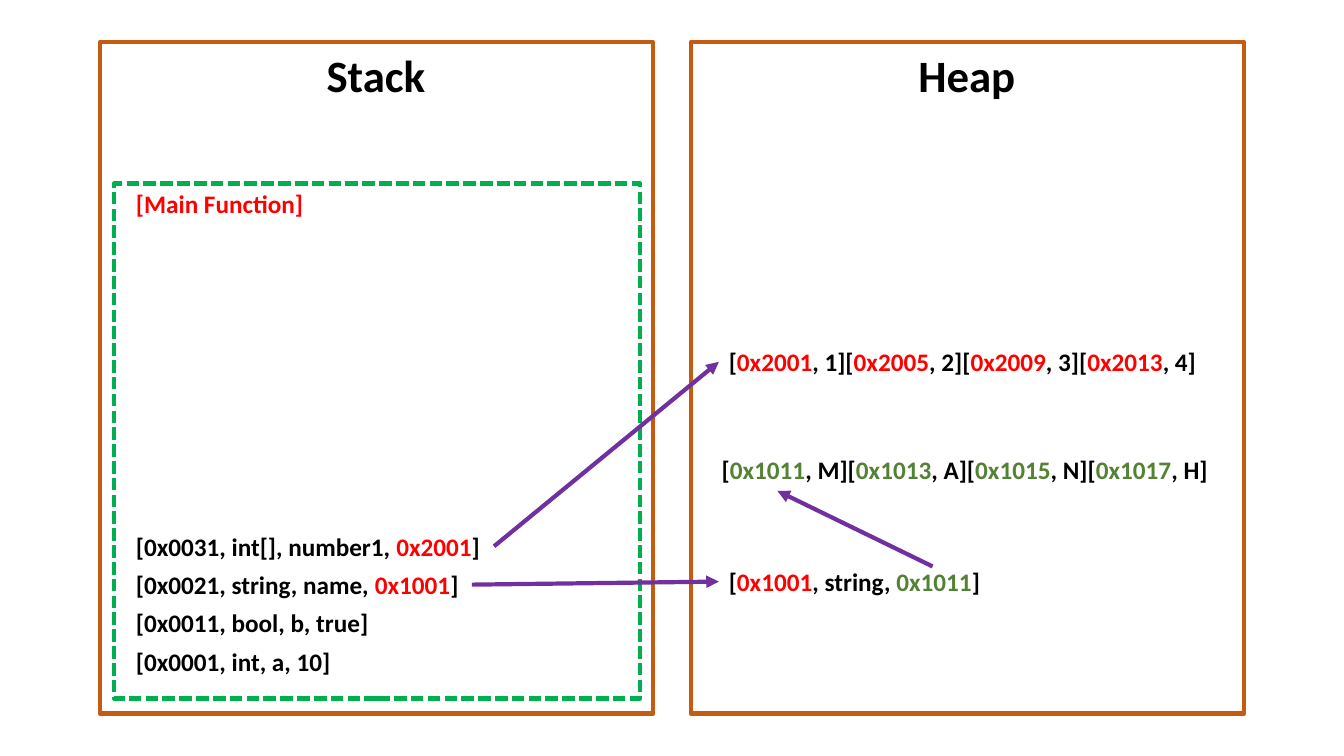
from dataclasses import dataclass

from lxml import etree
from pptx import Presentation
from pptx import util as u
from pptx.dml.color import RGBColor
from pptx.enum import dml, shapes, text
from pptx.oxml import ns

BLACK = RGBColor(0x00, 0x00, 0x00)
RED = RGBColor(0xFF, 0x00, 0x00)
OLIVE = RGBColor(0x54, 0x82, 0x35)
GREEN = RGBColor(0x00, 0xB0, 0x50)
ORANGE = RGBColor(0xC5, 0x5A, 0x11)
PURPLE = RGBColor(0x70, 0x30, 0xA0)

PANEL_TOP, PANEL_WIDTH, PANEL_HEIGHT = 0.42, 5.49, 6.66
ROW_HEIGHT, ROW_PITCH = 0.4, 0.38


@dataclass
class Box:
    left: float
    top: float
    width: float
    height: float

    def inches(self):
        return [u.Inches(v) for v in (self.left, self.top, self.width, self.height)]

    def inner(self, left, top, width, height):
        return Box(self.left + left, self.top + top, width, height)


def add_frame(parent, box, color, dash=None):
    frame = parent.add_shape(shapes.MSO_SHAPE.RECTANGLE, *box.inches())
    frame.shadow.inherit = False
    frame.fill.background()
    frame.line.color.rgb = color
    frame.line.width = u.Pt(3)
    if dash:
        frame.line.dash_style = dash


def add_label(parent, box, parts, size=18, wrap=False):
    label = parent.add_textbox(*box.inches())
    label.text_frame.word_wrap = wrap
    label.text_frame.auto_size = text.MSO_AUTO_SIZE.SHAPE_TO_FIT_TEXT
    para = label.text_frame.paragraphs[0]
    para.font.name = "Calibri"
    para.font.size = u.Pt(size)
    para.font.bold = True
    for wording, color in parts:
        span = para.add_run()
        span.text = wording
        span.font.color.rgb = color
    return label


def add_panel(page, box, heading, heading_width):
    group = page.shapes.add_group_shape()
    add_frame(group.shapes, box, ORANGE)
    heading_box = box.inner((box.width - heading_width) / 2, 0, heading_width, 0.64)
    add_label(group.shapes, heading_box, [(heading, BLACK)], size=32)


def add_arrow(page, start, end):
    points = [u.Inches(v) for v in (*start, *end)]
    arrow = page.shapes.add_connector(shapes.MSO_CONNECTOR.STRAIGHT, *points)
    arrow.line.color.rgb = PURPLE
    arrow.line.width = u.Pt(3)
    etree.SubElement(arrow.line._get_or_add_ln(), ns.qn("a:tailEnd"), type="triangle")
    etree.SubElement(arrow._element.spPr, ns.qn("a:effectLst"))
    return arrow


def join(page, source, target):
    arrow = add_arrow(page, (0, 0), (1, 1))
    arrow.begin_connect(source, 3)
    arrow.end_connect(target, 1)


def add_stack(page, box):
    add_panel(page, box, "Stack", 1.19)
    frame = box.inner(0.14, 1.4, 5.22, 5.11)
    add_frame(page.shapes, frame, GREEN, dml.MSO_LINE.SQUARE_DOT)
    add_label(page.shapes, frame.inner(0.12, 0, 1.88, ROW_HEIGHT), [("[Main Function]", RED)])
    rows = [
        (3.65, [("[0x0031, int[], number1, ", BLACK), ("0x2001", RED), ("]", BLACK)]),
        (3.43, [("[0x0021, string, name, ", BLACK), ("0x1001", RED), ("]", BLACK)]),
        (2.53, [("[0x0011, bool, b, true]", BLACK)]),
        (2.15, [("[0x0001, int, a, 10]", BLACK)]),
    ]
    labels = [
        add_label(page.shapes, frame.inner(0.12, 3.4 + i * ROW_PITCH, width, ROW_HEIGHT), parts)
        for i, (width, parts) in enumerate(rows)
    ]
    return labels[:2]


def array_parts(cells, color):
    parts = [("[", BLACK)]
    for i, (address, value) in enumerate(cells):
        ending = "][" if i < len(cells) - 1 else "]"
        parts += [(address, color), (f", {value}{ending}", BLACK)]
    return parts


def add_heap(page, box):
    add_panel(page, box, "Heap", 1.17)
    numbers = [("0x2001", 1), ("0x2005", 2), ("0x2009", 3), ("0x2013", 4)]
    letters = [("0x1011", "M"), ("0x1013", "A"), ("0x1015", "N"), ("0x1017", "H")]
    number_array = add_label(page.shapes, box.inner(0.28, 2.97, 5.57, ROW_HEIGHT),
                             array_parts(numbers, RED), wrap=True)
    add_label(page.shapes, box.inner(0.21, 4.04, 5.57, ROW_HEIGHT),
              array_parts(letters, OLIVE), wrap=True)
    reference = [("[", BLACK), ("0x1001", RED), (", string, ", BLACK),
                 ("0x1011", OLIVE), ("]", BLACK)]
    name_string = add_label(page.shapes, box.inner(0.28, 5.15, 2.72, ROW_HEIGHT), reference)
    add_arrow(page, (box.left + 2.4, box.top + 5.2), (box.left + 0.86, box.top + 4.45))
    return number_array, name_string


def main():
    deck = Presentation()
    deck.slide_width, deck.slide_height = u.Inches(13.33), u.Inches(7.5)
    page = deck.slides.add_slide(deck.slide_layouts.get_by_name("Blank"))
    sources = add_stack(page, Box(0.99, PANEL_TOP, PANEL_WIDTH, PANEL_HEIGHT))
    targets = add_heap(page, Box(6.85, PANEL_TOP, PANEL_WIDTH, PANEL_HEIGHT))
    for source, target in zip(sources, targets):
        join(page, source, target)
    deck.save("out.pptx")


if __name__ == "__main__":
    main()
